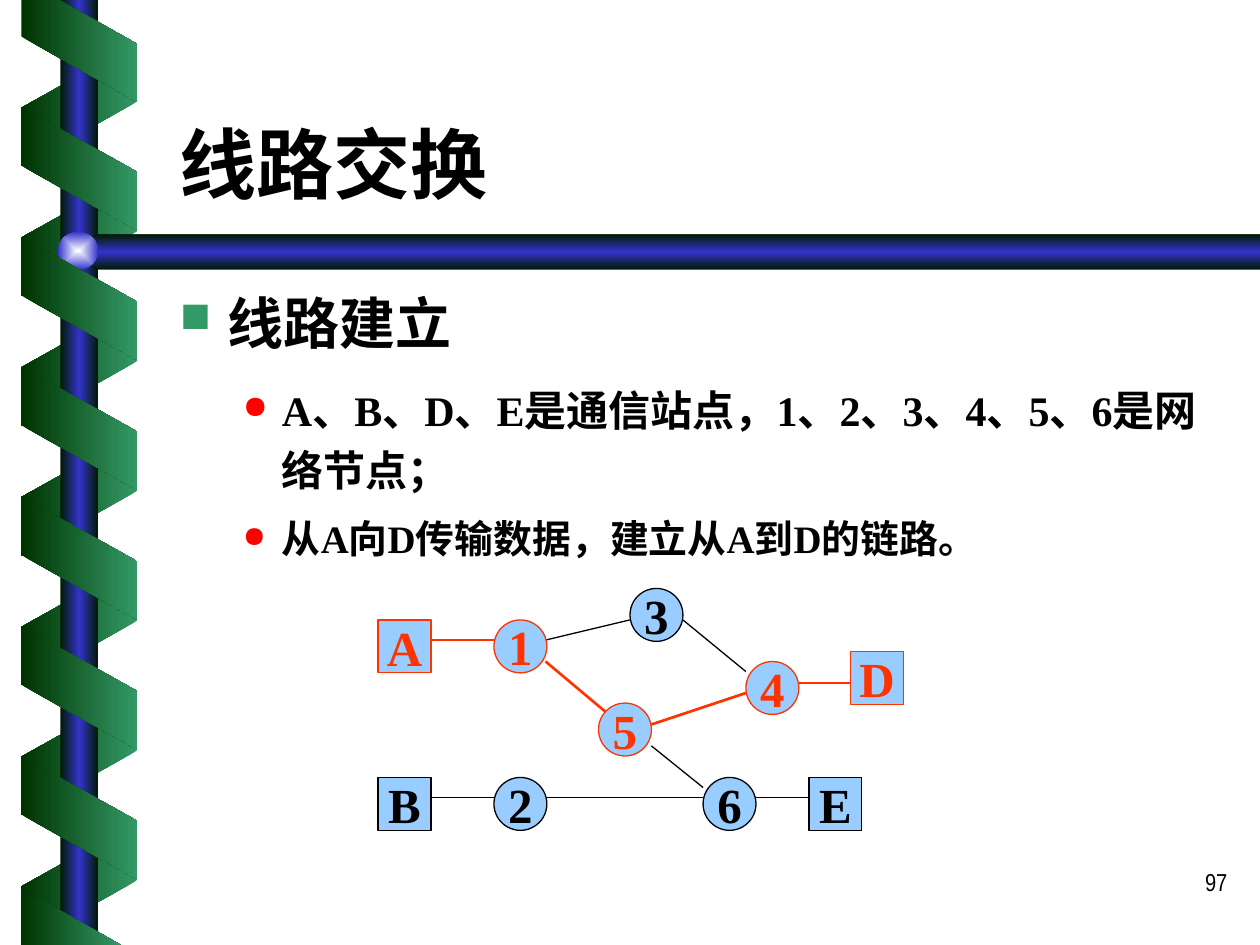
import dataclasses
import pptx
import pptx.dml.color
import pptx.enum.shapes
import pptx.enum.text
import pptx.oxml
import pptx.oxml.ns
import pptx.util

Inches = pptx.util.Inches
Kind = pptx.enum.shapes.MSO_SHAPE
Anchor = pptx.enum.text.MSO_ANCHOR
Align = pptx.enum.text.PP_ALIGN
NS = pptx.oxml.ns.nsdecls("a")
qn = pptx.oxml.ns.qn


@dataclasses.dataclass
class Theme:
    ink: str = "000000"
    route: str = "FF3300"
    node: str = "99CCFF"
    leaf: str = "339966"
    moss: str = "003300"
    night: str = "001A00"
    blue: str = "3333CC"
    shine: str = "FEFFFF"
    dot: str = "FF0000"
    serif: str = "Times New Roman"
    sans: str = "Arial Narrow"
    title: float = 44
    head: float = 32
    label: float = 28
    point: float = 24
    small: float = 22.2
    page: float = 14
    thin: float = 0.75
    thick: float = 1.5


def put(item, values):
    for name, value in values.items():
        setattr(item, name, value)


def rgb(code):
    return pptx.dml.color.RGBColor.from_string(code)


class Painter:
    def __init__(self, theme, slide):
        self.theme = theme
        self.slide = slide
        self.shapes = slide.shapes

    def shade(self, shape, colors, angle=0, round_mid=False):
        shape.shadow.inherit = False
        shape.line.fill.background()
        shape.fill.gradient()
        grad = shape._element.spPr.find(qn("a:gradFill"))
        last = len(colors) - 1
        stops = "".join(
            f'<a:gs pos="{100000 * i // last}"><a:srgbClr val="{color}"/></a:gs>'
            for i, color in enumerate(colors))
        way = f'<a:lin ang="{angle * 60000}" scaled="0"/>'
        if round_mid:
            way = ('<a:path path="rect"><a:fillToRect l="50000" t="50000" '
                   'r="50000" b="50000"/></a:path>')
        fresh = pptx.oxml.parse_xml(
            f'<a:gradFill {NS} rotWithShape="0"><a:gsLst>{stops}</a:gsLst>{way}</a:gradFill>')
        grad.getparent().replace(grad, fresh)

    def block(self, kind, box, colors, **look):
        shape = self.shapes.add_shape(kind, *map(Inches, box))
        self.shade(shape, colors, **look)
        return shape

    def outline(self, points, colors, angle=0):
        spots = [(Inches(x), Inches(y)) for x, y in points]
        pen = self.shapes.build_freeform(*spots[0])
        pen.add_line_segments(spots[1:], close=True)
        self.shade(pen.convert_to_shape(), colors, angle)

    def band(self, top, front):
        colors = [self.theme.moss, self.theme.leaf]
        shape = self.block(Kind.PARALLELOGRAM, (0.14, top, 0.98, 0.92),
                           colors if front else colors[::-1])
        shape.adjustments[0] = 0.56
        shape.rotation = 270 if front else 90
        if not front:
            shape._element.spPr.find(qn("a:xfrm")).set("flipH", "1")

    def letter(self, frame, words, size, face, color, bold=True, **style):
        para = frame.paragraphs[0]
        put(para, style)
        run = para.add_run()
        run.text = words
        put(run.font, {"size": pptx.util.Pt(size), "name": face, "bold": bold})
        run.font.color.rgb = rgb(color)

    def text(self, box, words, size, face, anchor=Anchor.TOP, bullet=None, **style):
        frame = self.shapes.add_textbox(*map(Inches, box)).text_frame
        put(frame, {"word_wrap": True, "vertical_anchor": anchor})
        if bullet:
            mark, color, left, hang = bullet
            props = frame.paragraphs[0]._p.get_or_add_pPr()
            props.set("marL", str(Inches(left)))
            props.set("indent", str(-Inches(hang)))
            for part in (f'<a:buClr {NS}><a:srgbClr val="{color}"/></a:buClr>',
                         f'<a:buSzPct {NS} val="75000"/>',
                         f'<a:buChar {NS} char="{mark}"/>'):
                props.append(pptx.oxml.parse_xml(part))
        self.letter(frame, words, size, face, self.theme.ink, **style)

    def node(self, name, left, top, kind, color):
        look = self.theme
        shape = self.shapes.add_shape(kind, *map(Inches, (left, top, 0.42, 0.42)))
        shape.shadow.inherit = False
        shape.fill.solid()
        shape.fill.fore_color.rgb = rgb(look.node)
        shape.line.color.rgb = rgb(color)
        shape.line.width = pptx.util.Pt(look.thin)
        put(shape.text_frame, {"word_wrap": False, "vertical_anchor": Anchor.MIDDLE})
        self.letter(shape.text_frame, name, look.label, look.serif, color,
                    alignment=Align.CENTER)

    def link(self, ends, color, width):
        line = self.shapes.add_connector(
            pptx.enum.shapes.MSO_CONNECTOR.STRAIGHT, *map(Inches, ends))
        line.line.color.rgb = rgb(color)
        line.line.width = pptx.util.Pt(width)
        line._element.spPr.append(pptx.oxml.parse_xml(f"<a:effectLst {NS}/>"))


def main():
    deck = pptx.Presentation()
    put(deck, {"slide_width": Inches(10), "slide_height": Inches(7.5)})
    theme = Theme()
    paint = Painter(theme, deck.slides.add_slide(deck.slide_layouts[6]))
    pitch = 1.03
    green = [theme.moss, theme.leaf]
    tube = [theme.night, theme.blue, theme.night]

    for i in range(7):
        paint.band(0.37 + pitch * i, front=False)
    paint.block(Kind.RECTANGLE, (0.48, 0, 0.3, 7.5), tube)
    paint.outline([(10, 1.86), (0.76, 1.86), (0.6, 2), (0.76, 2.14), (10, 2.14)], tube, 90)
    paint.block(Kind.OVAL, (0.46, 1.84, 0.32, 0.3), [theme.shine, theme.blue], round_mid=True)
    for i in range(6):
        paint.band(0.88 + pitch * i, front=True)
    paint.outline([(0.17, 0), (0.17, 0.29), (1.09, 0.81), (1.09, 0.35), (0.47, 0)], green)
    paint.outline([(0.96, 7.5), (0.17, 7.05), (0.17, 7.5)], green)

    paint.text((7.76, 6.83, 2.08, 0.5), "97", theme.page, theme.sans,
               bold=False, alignment=Align.RIGHT)
    paint.text((1.33, 0.46, 8.5, 1.25), "线路交换", theme.title, theme.sans, Anchor.BOTTOM)
    paint.text((1.33, 2.24, 8.5, 0.68), "线路建立", theme.head, theme.serif,
               bullet=("■", theme.leaf, 0.38, 0.38))
    dot = ("●", theme.dot, 0.81, 0.31)
    paint.text((1.33, 2.92, 8.5, 1.08), "A、B、D、E是通信站点，1、2、3、4、5、6是网络节点；",
               theme.point, theme.serif, bullet=dot, line_spacing=1.2)
    paint.text((1.33, 4, 8.5, 0.5), "从A向D传输数据，建立从A到D的链路。",
               theme.small, theme.serif, bullet=dot, line_spacing=1.1)

    plain = [(3.42, 6.33, 3.92, 6.33), (4.33, 6.33, 5.58, 6.33), (6, 6.33, 6.42, 6.33),
             (4.33, 5.08, 5, 4.92), (5.42, 4.92, 5.92, 5.33), (5.17, 5.92, 5.58, 6.25)]
    route = [(3.42, 5.08, 3.92, 5.08), (4.33, 5.25, 4.83, 5.67),
             (5.17, 5.75, 5.92, 5.5), (6.33, 5.42, 6.75, 5.42)]
    for ends in plain:
        paint.link(ends, theme.ink, theme.thin)
    for ends in route:
        paint.link(ends, theme.route, theme.thick)

    nodes = {"B": (3, 6.17), "2": (3.92, 6.17), "3": (5, 4.67), "6": (5.58, 6.17),
             "E": (6.42, 6.17), "A": (3, 4.92), "D": (6.75, 5.17),
             "1": (3.92, 4.92), "5": (4.75, 5.58), "4": (5.92, 5.25)}
    for name, (left, top) in nodes.items():
        paint.node(name, left, top, Kind.RECTANGLE if name.isalpha() else Kind.OVAL,
                   theme.route if name in "A154D" else theme.ink)
    deck.save("out.pptx")


if __name__ == "__main__":
    main()
